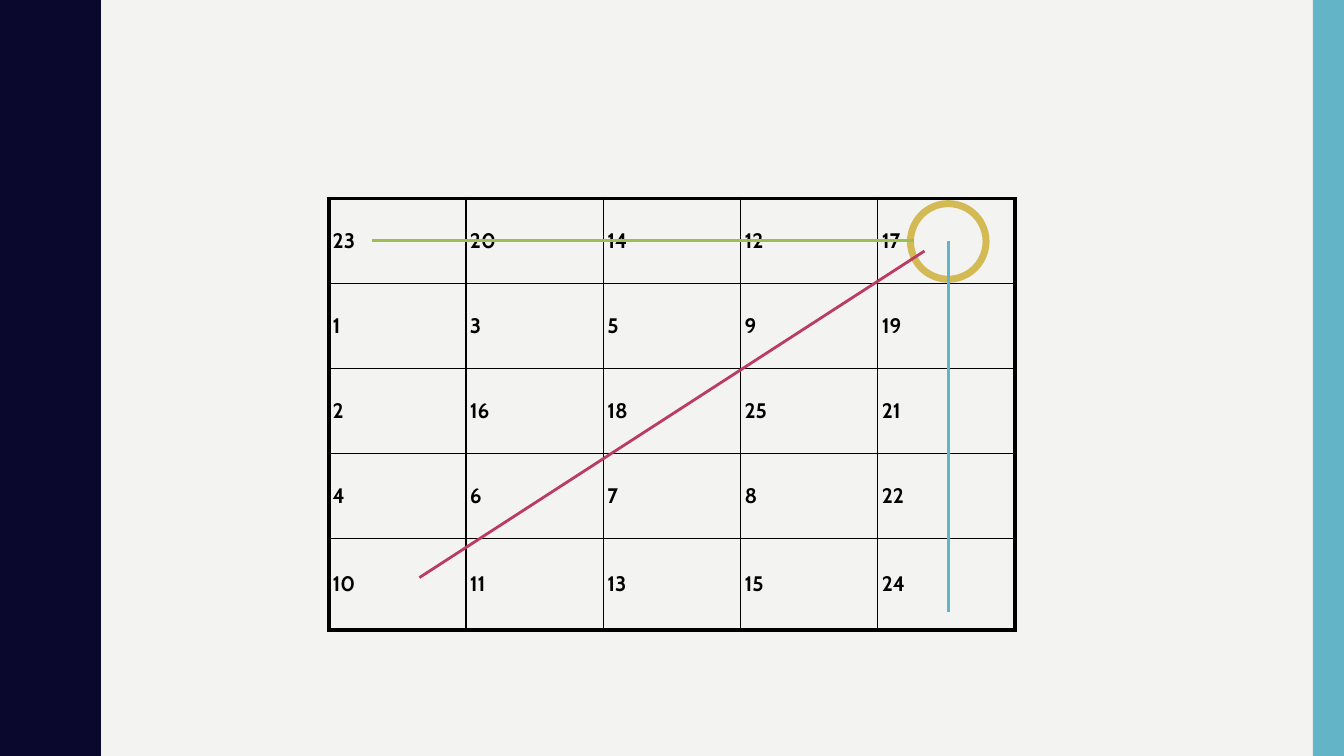
"""Build a slide with a 5 x 5 number grid crossed by a row, a column and a diagonal line."""
from lxml import etree
from pptx import Presentation
from pptx import util as u
from pptx.dml.color import RGBColor
from pptx.enum import shapes, text
from pptx.oxml import ns

PAPER = RGBColor(0xF3, 0xF3, 0xF2)
NAVY = RGBColor(0x0B, 0x08, 0x2E)
TEAL = RGBColor(0x62, 0xB4, 0xC6)
GOLD = RGBColor(0xD3, 0xBA, 0x55)
GREEN = RGBColor(0x9E, 0xBE, 0x55)
RED = RGBColor(0xBB, 0x3B, 0x62)
BLACK = RGBColor(0, 0, 0)

NUMBERS = [
    (23, 20, 14, 12, 17),
    (1, 3, 5, 9, 19),
    (2, 16, 18, 25, 21),
    (4, 6, 7, 8, 22),
    (10, 11, 13, 15, 24),
]
WIDTH, HEIGHT = 13.33, 7.5
LEFT, TOP = 3.26, 1.97
COLUMN = 1.362
ROWS = (0.843, 0.843, 0.843, 0.843, 0.91)
RING = (9.03, 2.02, 0.75)
STRIKES = [
    ((3.69, 2.39), (9.07, 2.39), GREEN),
    ((9.41, 6.07), (9.41, 2.39), TEAL),
    ((4.16, 5.73), (9.17, 2.49), RED),
]
WAVES = 5
HALF_WAVE = [
    (0.78, 0), (0.78, 0.07), (0.79, 0.14), (0.8, 0.2), (0.81, 0.25),
    (0.83, 0.29), (0.85, 0.33), (0.87, 0.38), (0.89, 0.42), (0.91, 0.46),
    (0.93, 0.5), (0.95, 0.55), (0.96, 0.61), (0.97, 0.68), (0.97, 0.75),
]


def paint(shape, color):
    shape.shadow.inherit = False
    shape.fill.solid()
    shape.fill.fore_color.rgb = color
    shape.line.fill.background()


def add_wave(page):
    period = HEIGHT / WAVES
    wave = HALF_WAVE + [(x, period - y) for x, y in HALF_WAVE[-2::-1]]
    edge = [(x, y + period * turn) for turn in range(WAVES) for x, y in wave]
    builder = page.shapes.build_freeform(0, 0, scale=u.Inches(1))
    builder.add_line_segments(edge + [(0, HEIGHT)], close=True)
    paint(builder.convert_to_shape(), NAVY)


def add_borders(cell, widths):
    properties = cell._tc.get_or_add_tcPr()
    for side, width in widths.items():
        line = etree.SubElement(properties, ns.qn("a:ln" + side), w=str(u.Pt(width)))
        fill = etree.SubElement(line, ns.qn("a:solidFill"))
        etree.SubElement(fill, ns.qn("a:srgbClr"), val=str(BLACK))


def add_grid(page):
    count = len(NUMBERS[0])
    frame = page.shapes.add_table(
        len(NUMBERS), count, u.Inches(LEFT), u.Inches(TOP),
        u.Inches(COLUMN * count), u.Inches(sum(ROWS)))
    table = frame.table
    table.first_row = table.horz_banding = False
    for column in table.columns:
        column.width = u.Inches(COLUMN)
    for r, numbers in enumerate(NUMBERS):
        table.rows[r].height = u.Inches(ROWS[r])
        for c, number in enumerate(numbers):
            cell = table.cell(r, c)
            cell.margin_left = cell.margin_right = u.Inches(0.04)
            cell.margin_top = cell.margin_bottom = u.Inches(0.04)
            cell.vertical_anchor = text.MSO_ANCHOR.MIDDLE
            outer = {"L": c == 0, "R": c == count - 1,
                     "T": r == 0, "B": r == len(NUMBERS) - 1}
            add_borders(cell, {side: 3 if edge else 1 for side, edge in outer.items()})
            cell.fill.background()
            cell.text = str(number)
            font = cell.text_frame.paragraphs[0].runs[0].font
            font.name, font.size, font.bold = "Cabin", u.Pt(15), True
            font.color.rgb = BLACK


def add_ring(page):
    left, top, size = map(u.Inches, RING)
    ring = page.shapes.add_shape(shapes.MSO_SHAPE.OVAL, left, top, size, size)
    ring.shadow.inherit = False
    ring.fill.background()
    ring.line.color.rgb = GOLD
    ring.line.width = u.Pt(5)


def add_strike(page, start, end, color):
    strike = page.shapes.add_connector(
        shapes.MSO_CONNECTOR.STRAIGHT, *map(u.Inches, start + end))
    strike.line.color.rgb = color
    strike.line.width = u.Pt(2)
    etree.SubElement(strike._element.spPr, ns.qn("a:effectLst"))


def main():
    deck = Presentation()
    deck.slide_width, deck.slide_height = u.Inches(WIDTH), u.Inches(HEIGHT)
    page = deck.slides.add_slide(deck.slide_layouts[6])
    page.background.fill.solid()
    page.background.fill.fore_color.rgb = PAPER
    add_wave(page)
    bar = page.shapes.add_shape(
        shapes.MSO_SHAPE.RECTANGLE, u.Inches(WIDTH - 0.31), 0,
        u.Inches(0.31), u.Inches(HEIGHT))
    paint(bar, TEAL)
    add_grid(page)
    add_ring(page)
    for start, end, color in STRIKES:
        add_strike(page, start, end, color)
    deck.save("out.pptx")


if __name__ == "__main__":
    main()
